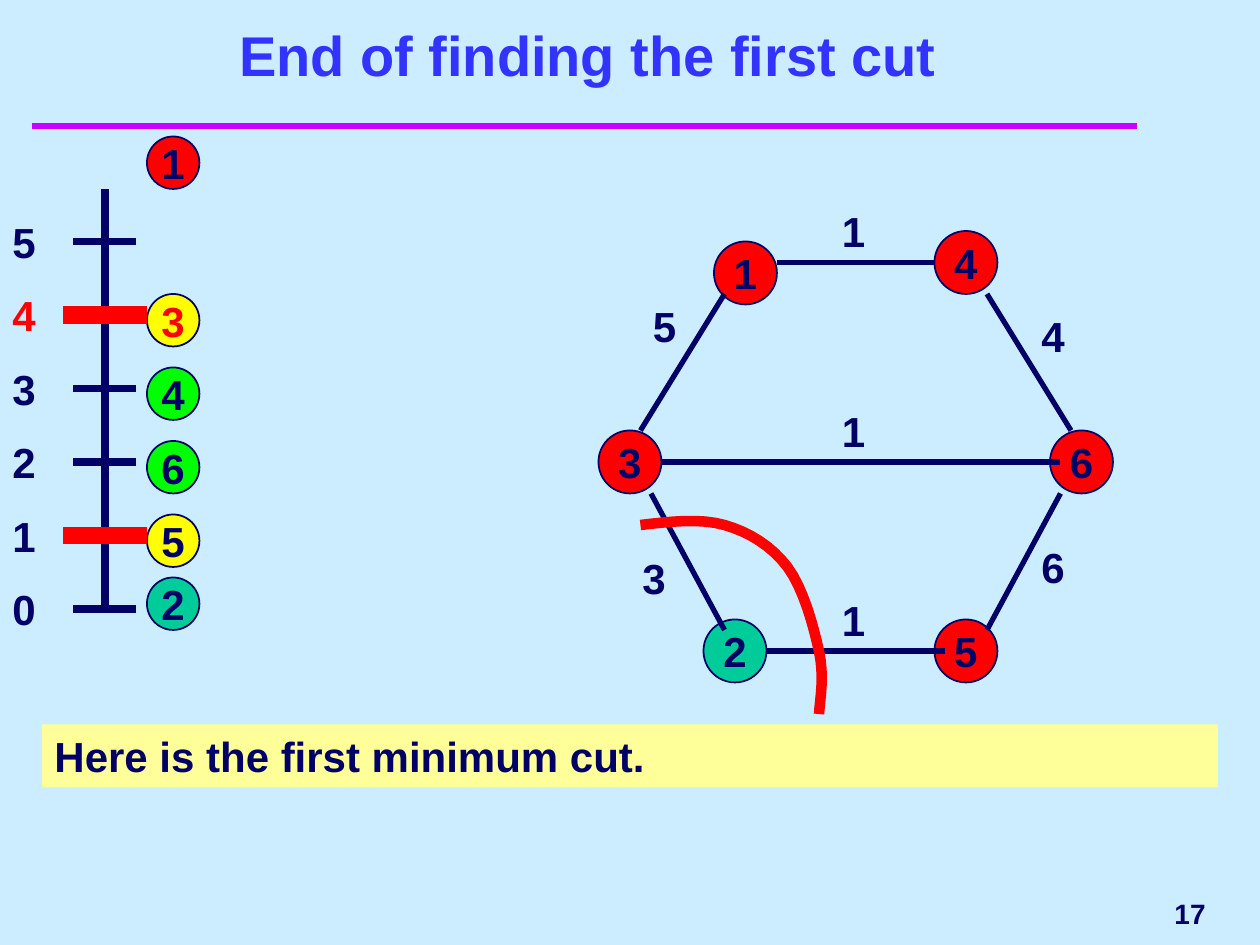
import pptx
import pptx.dml.color
import pptx.enum.shapes
import pptx.enum.text
import pptx.oxml
import pptx.util

Pt = pptx.util.Pt
RGBColor = pptx.dml.color.RGBColor
SHAPE = pptx.enum.shapes.MSO_SHAPE
ANCHOR = pptx.enum.text.MSO_ANCHOR
ALIGN = pptx.enum.text.PP_ALIGN

SKY = RGBColor(0xCC, 0xEC, 0xFF)
NAVY = RGBColor(0x00, 0x00, 0x66)
BLUE = RGBColor(0x33, 0x33, 0xFF)
PURPLE = RGBColor(0xCC, 0x00, 0xFF)
RED = RGBColor(0xFF, 0x00, 0x00)
YELLOW = RGBColor(0xFF, 0xFF, 0x00)
CREAM = RGBColor(0xFF, 0xFF, 0x99)
GREEN = RGBColor(0x00, 0xFF, 0x00)
TEAL = RGBColor(0x00, 0xCC, 0x99)

LEVEL_GAP = 42
BALL_SIZE = 30
NODE_SIZE = 36
CURVE_STEPS = 8

# Vertex, level on the scale, fill, text colour
BALLS = [("3", 4, YELLOW, RED), ("4", 3, GREEN, NAVY),
         ("6", 2, GREEN, NAVY), ("5", 1, YELLOW, NAVY)]
# Vertex, left, top, fill
NODES = [("1", 66, 24, RED), ("3", 0, 132, RED), ("2", 60, 240, TEAL),
         ("5", 192, 240, RED), ("6", 258, 132, RED), ("4", 192, 18, RED)]
# Ends of the edge, weight, left and top of the weight
EDGES = [((102, 36), (192, 36), "1", 132, 0),
         ((72, 54), (24, 132), "5", 24, 54),
         ((30, 168), (72, 246), "3", 18, 198),
         ((96, 258), (198, 258), "1", 132, 222),
         ((222, 246), (264, 168), "6", 246, 192),
         ((270, 132), (222, 54), "4", 246, 60),
         ((36, 150), (264, 150), "1", 132, 114)]
# Start, then two controls and an end for each Bezier segment
CUT = [(24, 186), (41, 184), (58, 182), (72, 186), (86, 190), (99, 198),
       (108, 210), (117, 222), (123, 244), (126, 258), (129, 272),
       (127, 283), (126, 294)]


def write(shape, text, size=24, color=NAVY, align=ALIGN.LEFT,
          anchor=ANCHOR.TOP, wrap=True):
    frame = shape.text_frame
    frame.text = text
    frame.word_wrap = wrap
    frame.auto_size = pptx.enum.text.MSO_AUTO_SIZE.NONE
    frame.vertical_anchor = anchor
    paragraph = frame.paragraphs[0]
    paragraph.alignment = align
    font = paragraph.runs[0].font
    font.name = "Arial"
    font.size = Pt(size)
    font.bold = True
    font.color.rgb = color


def add_label(slide, text, left, top, width, height=36, **style):
    label = slide.shapes.add_textbox(Pt(left), Pt(top), Pt(width), Pt(height))
    write(label, text, **style)


def add_line(slide, x1, y1, x2, y2, weight, color=NAVY):
    line = slide.shapes.add_connector(
        pptx.enum.shapes.MSO_CONNECTOR.STRAIGHT,
        Pt(x1), Pt(y1), Pt(x2), Pt(y2))
    line.line.color.rgb = color
    line.line.width = Pt(weight)
    properties = line._element.spPr
    properties.append(properties.makeelement(
        pptx.oxml.ns.qn("a:effectLst"), {}))


def add_vertex(slide, text, left, top, size, fill, color=NAVY):
    vertex = slide.shapes.add_shape(
        SHAPE.OVAL, Pt(left), Pt(top), Pt(size), Pt(size))
    vertex.shadow.inherit = False
    vertex.fill.solid()
    vertex.fill.fore_color.rgb = fill
    vertex.line.color.rgb = NAVY
    vertex.line.width = Pt(1)
    write(vertex, text, color=color, align=ALIGN.CENTER,
          anchor=ANCHOR.MIDDLE, wrap=False)


def add_heading(slide, left, top, width, height):
    add_line(slide, 18, 72, 650, 72, 4, PURPLE)
    title = slide.shapes.title
    title.left, title.top = Pt(left), Pt(top)
    title.width, title.height = Pt(width), Pt(height)
    write(title, "End of finding the first cut", size=32, color=BLUE,
          align=ALIGN.CENTER, anchor=ANCHOR.BOTTOM)


def add_scale(slide, left, top, height):
    """Vertical axis of levels 0 to 5 with the vertices beside it."""
    base = top + height
    axis = left + 60
    ball_left = left + 84
    add_line(slide, axis, top + 30, axis, base, 4.5)
    for level in range(6):
        y = base - level * LEVEL_GAP
        color, weight = (RED, 6) if level == 4 else (NAVY, 4.5)
        add_line(slide, axis - 18, y, axis + 18, y, weight, color)
        add_label(slide, str(level), left, y - 18, 30, color=color)
    add_vertex(slide, "1", ball_left, top, BALL_SIZE, RED)
    add_vertex(slide, "2", ball_left, base - 18, BALL_SIZE, TEAL)
    for vertex, level, fill, color in BALLS:
        y = base - level * LEVEL_GAP
        add_vertex(slide, vertex, ball_left, y - 12, BALL_SIZE, fill, color)
        if fill == YELLOW:
            add_line(slide, axis - 24, y, ball_left, y, 10, RED)


def bezier(start, control1, control2, end, t):
    u = 1 - t
    return [u**3 * a + 3 * u * u * t * b + 3 * u * t * t * c + t**3 * d
            for a, b, c, d in zip(start, control1, control2, end)]


def add_cut(slide, left, top):
    points = [bezier(*CUT[i:i + 4], step / CURVE_STEPS)
              for i in range(0, len(CUT) - 1, 3)
              for step in range(1, CURVE_STEPS + 1)]
    start_x, start_y = CUT[0]
    builder = slide.shapes.build_freeform(Pt(left + start_x), Pt(top + start_y))
    builder.add_line_segments(
        [(Pt(left + x), Pt(top + y)) for x, y in points], close=False)
    cut = builder.convert_to_shape()
    cut.shadow.inherit = False
    cut.fill.background()
    cut.line.color.rgb = RED
    cut.line.width = Pt(6)


def add_graph(slide, left, top):
    for vertex, x, y, fill in NODES:
        add_vertex(slide, vertex, left + x, top + y, NODE_SIZE, fill)
    for (x1, y1), (x2, y2), weight, x, y in EDGES:
        add_line(slide, left + x1, top + y1, left + x2, top + y2, 3)
        add_label(slide, weight, left + x, top + y, 48)
    add_cut(slide, left, top)


def add_conclusion(slide, left, top, width, height):
    banner = slide.shapes.add_shape(
        SHAPE.RECTANGLE, Pt(left), Pt(top), Pt(width), Pt(height))
    banner.shadow.inherit = False
    banner.fill.solid()
    banner.fill.fore_color.rgb = CREAM
    banner.line.fill.background()
    write(banner, "Here is the first minimum cut.")


def main():
    deck = pptx.Presentation()
    deck.slide_width, deck.slide_height = Pt(720), Pt(540)
    slide = deck.slides.add_slide(deck.slide_layouts[5])
    slide.background.fill.solid()
    slide.background.fill.fore_color.rgb = SKY
    add_heading(slide, 30, 24, 612, 30)
    add_scale(slide, 0, 78, 270)
    add_conclusion(slide, 24, 414, 672, 36)
    add_graph(slide, 342, 114)
    add_label(slide, "17", 558, 504, 138, size=16,
              align=ALIGN.RIGHT, anchor=ANCHOR.MIDDLE)
    deck.save("out.pptx")


if __name__ == "__main__":
    main()
